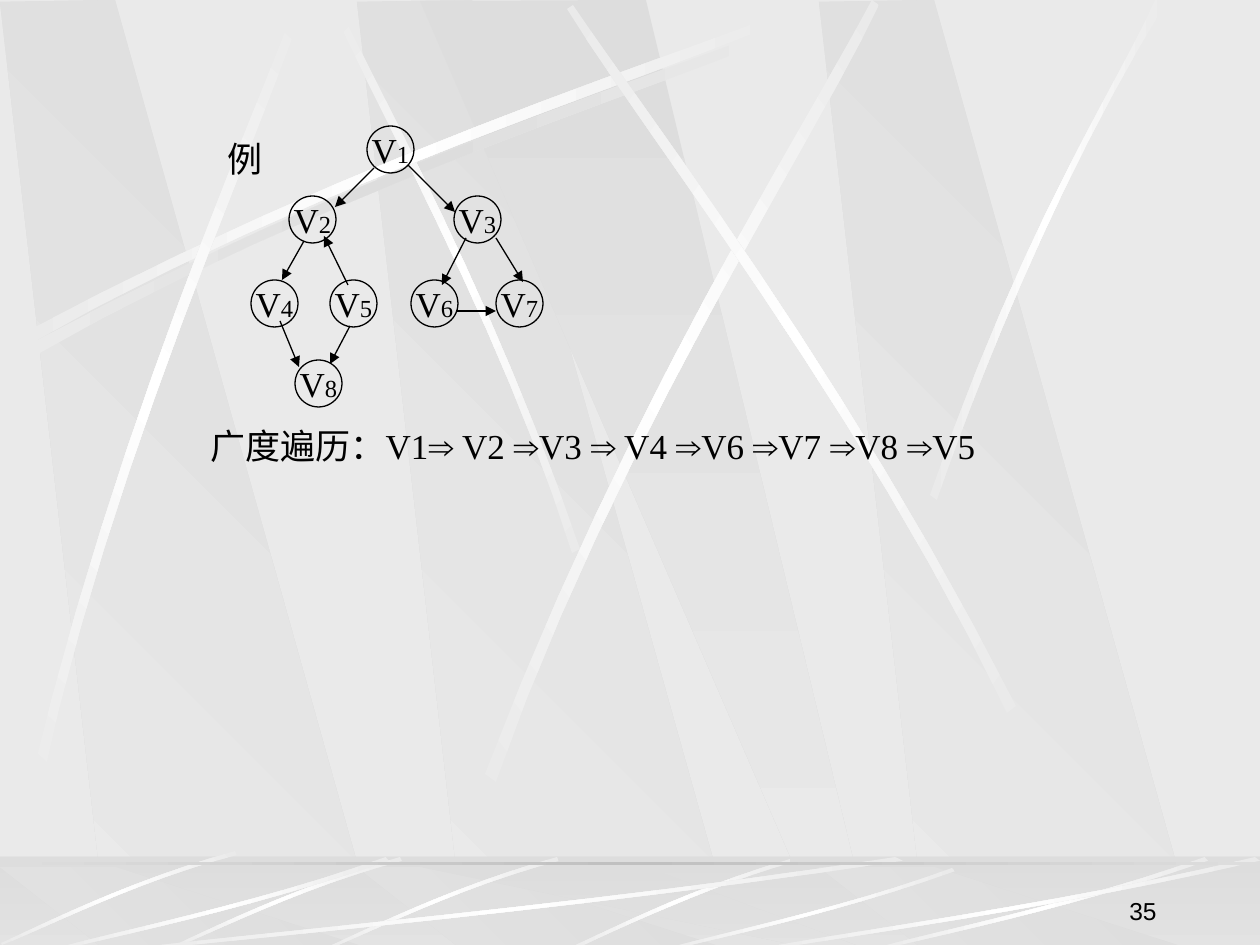
from lxml import etree
from pptx import Presentation
from pptx.dml.color import RGBColor
from pptx.enum.shapes import MSO_CONNECTOR, MSO_SHAPE
from pptx.enum.text import MSO_ANCHOR, MSO_AUTO_SIZE, PP_ALIGN
from pptx.oxml import parse_xml
from pptx.oxml.ns import nsdecls, qn
from pptx.util import Emu, Pt

RECT, OVAL = MSO_SHAPE.RECTANGLE, MSO_SHAPE.OVAL
STRAIGHT = MSO_CONNECTOR.STRAIGHT
TOP, MIDDLE, BOTTOM = MSO_ANCHOR.TOP, MSO_ANCHOR.MIDDLE, MSO_ANCHOR.BOTTOM
LEFT, CENTER, RIGHT = PP_ALIGN.LEFT, PP_ALIGN.CENTER, PP_ALIGN.RIGHT
FIT = MSO_AUTO_SIZE.SHAPE_TO_FIT_TEXT
PX = 914400 // 126
SERIF, SANS = "Times New Roman", "Arial"
BLACK, GREY, PALE = "000000", "DDDDDD", "EAEAEA"
SHADE = [GREY, PALE]
SHADOW = [PALE, GREY, PALE]
GLOW = [PALE, "FFFFFF", PALE]
CURVE_STEPS = 12

EXAMPLE = "例"
TRAVERSAL = "广度遍历：V1⇒ V2 ⇒V3 ⇒ V4 ⇒V6 ⇒V7 ⇒V8 ⇒V5"
PAGE_NUMBER = "35"

NODE_SIZE = 47
LEVELS = [
    (126, {"1": 367}),
    (196, {"2": 289, "3": 454}),
    (280, {"4": 251, "5": 330, "6": 411, "7": 496}),
    (360, {"8": 295}),
]
EDGES = [
    (374, 168, 335, 207), (408, 165, 455, 212), (304, 241, 282, 280),
    (348, 285, 324, 236), (280, 321, 299, 367), (350, 326, 330, 364),
    (466, 238, 442, 285), (457, 311, 496, 311), (496, 238, 523, 282),
]

PILLAR = [(108, 945), (381, 948), (115, 0), (0, 2)]
PILLAR_LEFTS = [357, 0, 819]
FAN = [(420, 1), (829, 946), (874, 946), (646, 0)]
FLOOR_TOP, FLOOR_SCALE = 867, 0.09

CROSSBEAM = [(18, 336), (350, 158), (653, 64), (781, 13),
             (785, 20), (658, 77), (312, 180), (21, 349)]
FALLING_BEAM = [(580, 549), (493, 295), (381, 97), (339, 6),
                (333, 9), (372, 100), (501, 325), (572, 553)]
LEFT_BEAM = [(29, 788), (117, 421), (248, 132), (296, 3),
             (304, 5), (261, 136), (108, 464), (40, 793)]
MIDDLE_BEAM = [(485, 774), (627, 403), (804, 129), (872, 0),
               (879, 5), (818, 136), (612, 447), (496, 782)]
LONG_BEAM = [(1016, 706), (844, 369), (650, 120), (573, 5),
             (567, 9), (639, 127), (863, 410), (1007, 713)]
RIGHT_BEAM = [(930, 495), (1026, 218), (1119, 83), (1155, 0),
              (1168, 0), (1053, 183), (969, 406), (937, 500)]
WALL_BEAMS = [
    (CROSSBEAM, (8, 10), SHADOW, 0), (FALLING_BEAM, (0, 0), GLOW, 45),
    (CROSSBEAM, (0, 0), GLOW, 0), (LEFT_BEAM, (0, 0), GLOW, 132),
    (MIDDLE_BEAM, (0, 0), GLOW, 142), (LONG_BEAM, (0, 0), GLOW, 35),
    (RIGHT_BEAM, (0, 0), GLOW, 0),
]
FLOOR_ARC = [(790, 859), (677, 893), (601, 935), (564, 950),
             (571, 951), (617, 929), (719, 882), (791, 863)]
FLOOR_SLANT = [(557, 857), (447, 888), (362, 932), (323, 949),
               (324, 951), (363, 936), (460, 886), (559, 861)]
FLOOR_BEAMS = [(FLOOR_ARC, (0, 0), GLOW, 0)] + [
    (FLOOR_SLANT, shift, GLOW, 135) for shift in [(0, 0), (-157, 0), (-322, -6)]
]
RAY = [(1, 0.04), (0.57, 0.57), (0.17, 0.85), (0.01, 1),
       (0, 0.98), (0.16, 0.81), (0.61, 0.5), (0.99, 0)]
RAY_BOXES = [(126, 857, 777, 94), (53, 857, 336, 94), (664, 868, 291, 83),
             (872, 857, 336, 94), (756, 857, 504, 94)]


def color(value):
    return RGBColor.from_string(value)


def px(*lengths):
    return [Emu(round(length * PX)) for length in lengths]


def paint(shape, stops, angle):
    shape.shadow.inherit = False
    shape.line.fill.background()
    shape.fill.background()
    marks = "".join(
        f'<a:gs pos="{100000 * i // (len(stops) - 1)}"><a:srgbClr val="{stop}"/></a:gs>'
        for i, stop in enumerate(stops))
    gradient = parse_xml(
        f'<a:gradFill rotWithShape="1" {nsdecls("a")}><a:gsLst>{marks}</a:gsLst>'
        f'<a:lin ang="{angle * 60000}" scaled="0"/></a:gradFill>')
    props = shape.element.spPr
    props.replace(props.find(qn("a:noFill")), gradient)


def place(outline, left=0, top=0, across=1, down=1):
    return [(left + x * across, top + y * down) for x, y in outline]


def polygon(points, stops, angle):
    corners = [px(*point) for point in points]
    builder = shapes.build_freeform(*corners[0], scale=1.0)
    builder.add_line_segments(corners[1:], close=True)
    paint(builder.convert_to_shape(), stops, angle)


def curve(a, b, c, d):
    for step in range(CURVE_STEPS + 1):
        t = step / CURVE_STEPS
        u = 1 - t
        yield tuple(u**3 * p + 3 * u * u * t * q + 3 * u * t * t * r + t**3 * s
                    for p, q, r, s in zip(a, b, c, d))


def beam(points, stops, angle):
    polygon([*curve(*points[:4]), *curve(*points[4:])], stops, angle)


def band(top, height, stops, angle):
    strip = shapes.add_shape(RECT, *px(0, top, 1260, height))
    paint(strip, stops, angle)
    return strip


def backdrop(top, scale):
    for left in PILLAR_LEFTS:
        polygon(place(PILLAR, left, top, 1, scale), SHADE, 135)
    polygon(place(FAN, 0, top, 1, scale), SHADE, 90)


def style(run, size, font=SERIF):
    run.font.size = Pt(size)
    run.font.name = font
    run.font.color.rgb = color(BLACK)


def write(shape, pieces, align, anchor, wrap=False):
    frame = shape.text_frame
    frame.word_wrap = wrap
    frame.vertical_anchor = anchor
    paragraph = frame.paragraphs[0]
    paragraph.alignment = align
    for words, size, font in pieces:
        run = paragraph.add_run()
        run.text = words
        style(run, size, font)
    return frame


deck = Presentation()
deck.slide_width, deck.slide_height = px(1260, 945)
slide = deck.slides.add_slide(deck.slide_layouts[6])
slide.background.fill.solid()
slide.background.fill.fore_color.rgb = color(PALE)
shapes = slide.shapes

backdrop(0, 1)
for outline, shift, stops, angle in WALL_BEAMS:
    beam(place(outline, *shift), stops, angle)

band(857, 94, SHADE, 90)
backdrop(FLOOR_TOP, FLOOR_SCALE)
veil = band(856, 94, SHADE, 90)
veil.fill.solid()
veil.fill.fore_color.rgb = color(GREY)
veil_color = veil.element.spPr.find(qn("a:solidFill"))[0]
etree.SubElement(veil_color, qn("a:alpha"), val="50000")
for outline, shift, stops, angle in FLOOR_BEAMS:
    beam(place(outline, *shift), stops, angle)
for box in RAY_BOXES:
    beam(place(RAY, *box), GLOW, 0)
band(862, 3, [GREY, "C0C0C0", GREY], 0)

for top, level in LEVELS:
    for number, left in level.items():
        node = shapes.add_shape(OVAL, *px(left, top, NODE_SIZE, NODE_SIZE))
        node.shadow.inherit = False
        node.fill.background()
        node.line.color.rgb = color(BLACK)
        node.line.width = Pt(0.75)
        write(node, [("V", 20, SERIF), (number, 14, SERIF)], CENTER, MIDDLE)

for ends in EDGES:
    edge = shapes.add_connector(STRAIGHT, *px(*ends))
    edge.line.color.rgb = color(BLACK)
    edge.line.width = Pt(0.75)
    etree.SubElement(edge.line._get_or_add_ln(), qn("a:tailEnd"), type="triangle")
    etree.SubElement(edge.element.spPr, qn("a:effectLst"))

example = shapes.add_textbox(*px(215, 131, 60, 55))
write(example, [(EXAMPLE, 20, SERIF)], CENTER, MIDDLE).auto_size = FIT

steps = TRAVERSAL.split("⇒")
pieces = [(steps[0], 20, SERIF)]
for step in steps[1:]:
    pieces += [("⇒", 20, SANS), (step, 20, SERIF)]
traversal = shapes.add_textbox(*px(198, 418, 818, 55))
write(traversal, pieces, LEFT, TOP).auto_size = FIT

page = shapes.add_textbox(*px(907, 869, 262, 63))
write(page, [(PAGE_NUMBER, 14, SANS)], RIGHT, BOTTOM, True)

deck.save("out.pptx")
